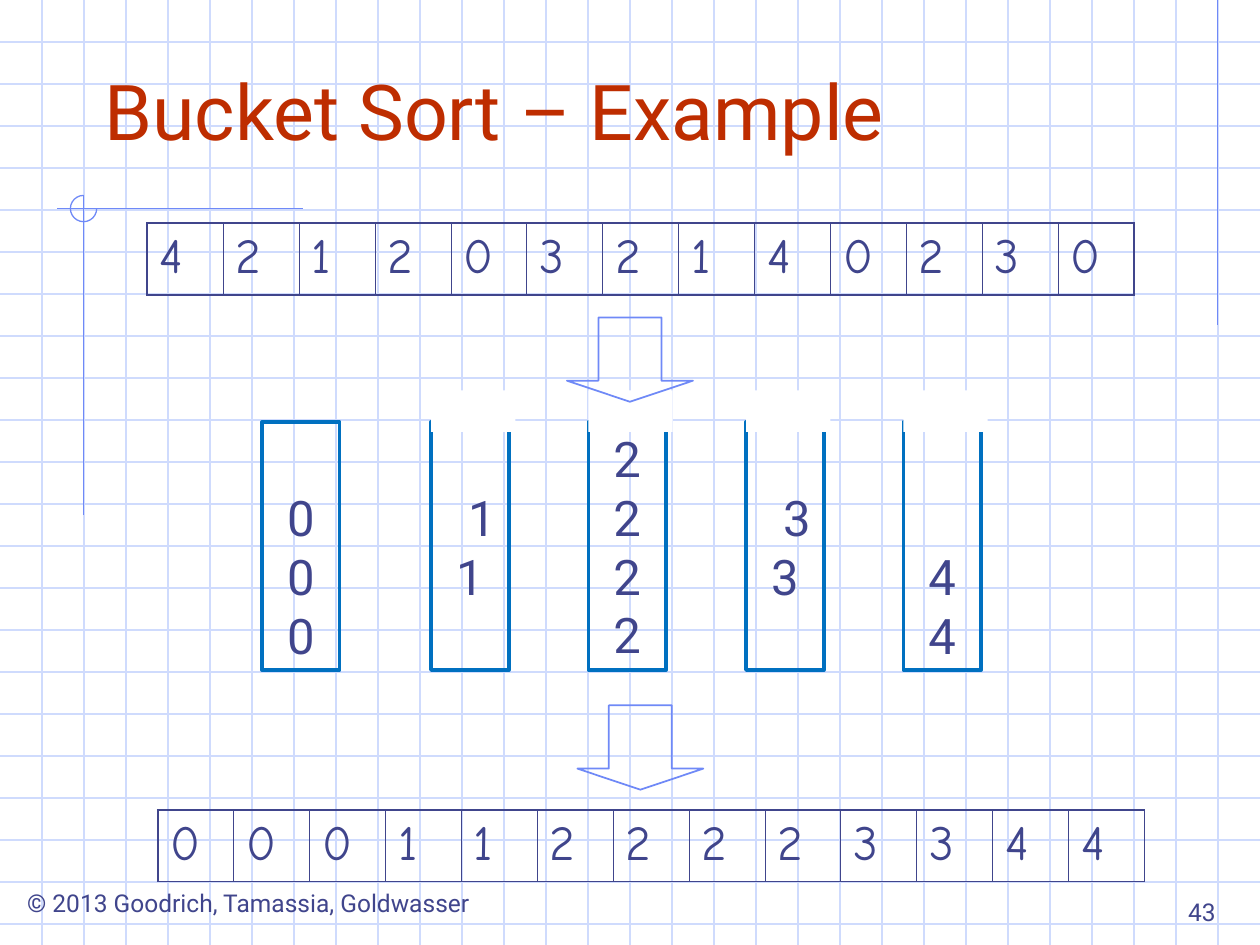
from lxml import etree
from pptx import Presentation
from pptx.dml.color import RGBColor
from pptx.enum.shapes import MSO_CONNECTOR, MSO_SHAPE
from pptx.enum.text import MSO_ANCHOR, PP_ALIGN
from pptx.oxml.ns import qn
from pptx.util import Cm, Pt

STRAIGHT = MSO_CONNECTOR.STRAIGHT
RECTANGLE, DOWN_ARROW, ARC = MSO_SHAPE.RECTANGLE, MSO_SHAPE.DOWN_ARROW, MSO_SHAPE.ARC
TOP, MIDDLE, BOTTOM = MSO_ANCHOR.TOP, MSO_ANCHOR.MIDDLE, MSO_ANCHOR.BOTTOM
LEFT, CENTER, RIGHT = PP_ALIGN.LEFT, PP_ALIGN.CENTER, PP_ALIGN.RIGHT

COLORS = {
    "grid": "CFDBFD",
    "accent": "6F89F7",
    "title": "BE2D00",
    "text": "40458C",
    "bucket": "0070C0",
    "paper": "FFFFFF",
}
TITLE_FONT = {"name": "Roboto", "size": Pt(44), "color": "title"}
SMALL_FONT = {"name": "Roboto", "size": Pt(14), "color": "text"}
BUCKET_FONT = {"name": "Roboto", "size": Pt(28), "color": "text"}
CELL_FONT = {"name": "Comic Neue", "size": Pt(28), "color": "text"}

TITLE = "Bucket Sort – Example"
COPYRIGHT = "© 2013 Goodrich, Tamassia, Goldwasser"
SLIDE_NUMBER = "43"

# Values, left, top (cm)
ARRAYS = [
    ([4, 2, 1, 2, 0, 3, 2, 1, 4, 0, 2, 3, 0], 2.97, 4.5),
    ([0, 0, 0, 1, 1, 2, 2, 2, 2, 3, 3, 4, 4], 3.18, 16.33),
]
# Digits, left (cm), vertical anchor, first-line margin (cm), open at the top
BUCKETS = [
    ("000", 5.28, BOTTOM, 0, False),
    ("11", 8.69, MIDDLE, 0.48, True),
    ("2222", 11.86, MIDDLE, 0, True),
    ("33", 15.04, MIDDLE, 0.48, True),
    ("44", 18.21, BOTTOM, 0, True),
]
ARROWS = [(11.43, 6.4), (11.64, 14.22)]
# Start x, start y, end x, end y (cm)
FRAME_LINES = [
    (24.55, 0, 24.55, 6.55),
    (6.1, 4.21, 1.14, 4.21),
    (1.69, 3.93, 1.69, 10.39),
]

WIDTH, HEIGHT = 25.4, 19.05
GRID_COLUMNS = 30
CELL_WIDTH, CELL_HEIGHT = 1.53, 1.44
BUCKET_TOP, BUCKET_WIDTH, BUCKET_HEIGHT = 8.51, 1.57, 5
COVER_TOP, COVER_WIDTH, COVER_HEIGHT = 7.87, 1.7, 0.84


def rgb(color):
    return RGBColor.from_string(COLORS[color])


def write(paragraph, text, font_format, alignment=LEFT):
    paragraph.text = text
    paragraph.alignment = alignment
    for name, value in font_format.items():
        if name == "color":
            paragraph.font.color.rgb = rgb(value)
        else:
            setattr(paragraph.font, name, value)


def add_line(shapes, start_x, start_y, end_x, end_y, color):
    line = shapes.add_connector(STRAIGHT, Cm(start_x), Cm(start_y), Cm(end_x), Cm(end_y))
    line.line.color.rgb = rgb(color)
    line.line.width = Pt(0.75)
    etree.SubElement(line._element.spPr, qn("a:effectLst"))


def add_background(slide):
    """Draw the graph paper and the corner marks as one group."""
    shapes = slide.shapes.add_group_shape().shapes
    step = WIDTH / GRID_COLUMNS
    for row in range(1, int(HEIGHT / step) + 1):
        add_line(shapes, 0, row * step, WIDTH, row * step, "grid")
    for column in range(1, GRID_COLUMNS):
        add_line(shapes, column * step, 0, column * step, HEIGHT, "grid")
    for ends in FRAME_LINES:
        add_line(shapes, *ends, "accent")
    arc = add_outline(shapes, ARC, (1.42, 3.94, 0.53, 0.53), "accent", 0.75)
    arc.adjustments[0], arc.adjustments[1] = 0, 162


def add_outline(shapes, kind, box, color, width):
    shape = shapes.add_shape(kind, *map(Cm, box))
    shape.shadow.inherit = False
    shape.fill.background()
    shape.line.color.rgb = rgb(color)
    shape.line.width = Pt(width)
    return shape


def add_label(slide, text, box, alignment, anchor, wrap):
    frame = slide.shapes.add_textbox(*map(Cm, box)).text_frame
    frame.word_wrap = wrap
    frame.vertical_anchor = anchor
    write(frame.paragraphs[0], text, SMALL_FONT, alignment)


def add_title(slide):
    title = slide.shapes.title
    title.left, title.top, title.width, title.height = map(Cm, (1.85, 0.1, 21.59, 3.18))
    title.text_frame.vertical_anchor = BOTTOM
    write(title.text_frame.paragraphs[0], TITLE, TITLE_FONT)
    title._element.getparent().append(title._element)  # in front of the grid


def set_borders(cell, widths):
    properties = cell._tc.get_or_add_tcPr()
    for position, (side, width) in enumerate(widths.items()):
        border = etree.Element(qn(f"a:{side}"), w=str(Pt(width)))
        fill = etree.SubElement(border, qn("a:solidFill"))
        etree.SubElement(fill, qn("a:srgbClr"), val=COLORS["text"])
        properties.insert(position, border)


def add_array(slide, values, left, top):
    count = len(values)
    box = (left, top, CELL_WIDTH * count, CELL_HEIGHT)
    table = slide.shapes.add_table(1, count, *map(Cm, box)).table
    table.first_row = table.horz_banding = False
    for index, value in enumerate(values):
        table.columns[index].width = Cm(CELL_WIDTH)
        cell = table.cell(0, index)
        cell.fill.background()
        write(cell.text_frame.paragraphs[0], str(value), CELL_FONT)
        set_borders(cell, {
            "lnL": 1.08 if index == 0 else 0.45,
            "lnR": 1.08 if index == count - 1 else 0.45,
            "lnT": 1.08,
            "lnB": 1.08,
        })


def add_bucket(slide, digits, left, anchor, first_margin, is_open):
    box = (left, BUCKET_TOP, BUCKET_WIDTH, BUCKET_HEIGHT)
    bucket = add_outline(slide.shapes, RECTANGLE, box, "bucket", 2)
    frame = bucket.text_frame
    frame.vertical_anchor = anchor
    for index, digit in enumerate(digits):
        paragraph = frame.add_paragraph() if index else frame.paragraphs[0]
        write(paragraph, digit, BUCKET_FONT, CENTER)
        if index == 0 and first_margin:
            paragraph._p.get_or_add_pPr().set("marL", str(Cm(first_margin)))
    if is_open:
        cover_box = (left, COVER_TOP, COVER_WIDTH, COVER_HEIGHT)
        cover = slide.shapes.add_shape(RECTANGLE, *map(Cm, cover_box))
        cover.shadow.inherit = False
        cover.fill.solid()
        cover.fill.fore_color.rgb = rgb("paper")
        cover.line.fill.background()


def main():
    presentation = Presentation()
    presentation.slide_width, presentation.slide_height = Cm(WIDTH), Cm(HEIGHT)
    slide = presentation.slides.add_slide(presentation.slide_layouts[5])
    add_background(slide)
    add_label(slide, COPYRIGHT, (0.08, 17.78, 9.86, 0.86), CENTER, TOP, False)
    add_title(slide)
    add_label(slide, SLIDE_NUMBER, (19.48, 17.53, 5.28, 1.27), RIGHT, BOTTOM, True)
    for array in ARRAYS:
        add_array(slide, *array)
    for bucket in BUCKETS:
        add_bucket(slide, *bucket)
    for left, top in ARROWS:
        arrow = add_outline(slide.shapes, DOWN_ARROW, (left, top, 2.54, 1.7), "accent", 1)
        # Head length is relative to the arrow's shorter side
        arrow.adjustments[0], arrow.adjustments[1] = 0.5, 0.25
    presentation.save("out.pptx")


if __name__ == "__main__":
    main()
